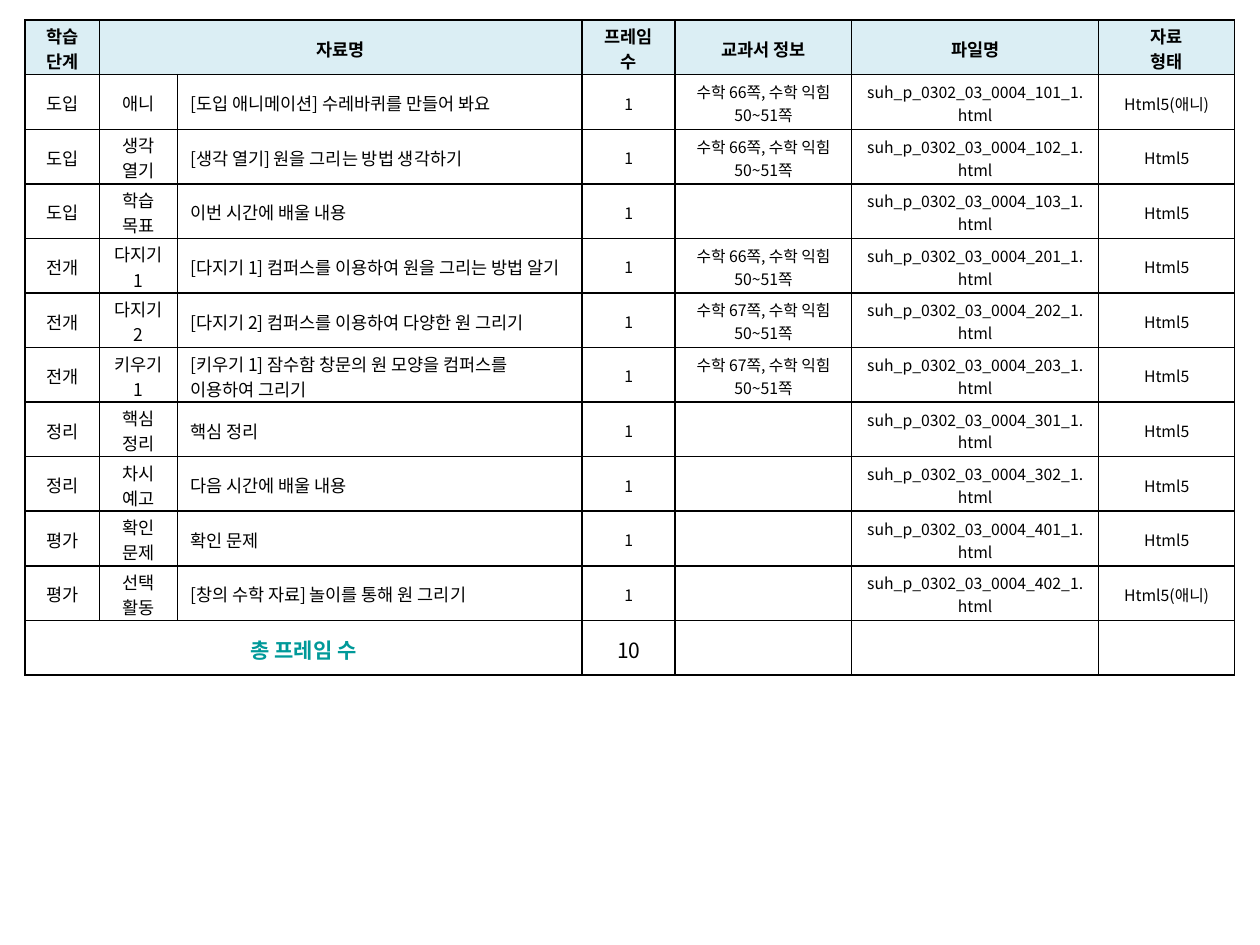
from lxml.etree import SubElement
from pptx import Presentation
from pptx.dml.color import RGBColor
from pptx.enum.text import MSO_ANCHOR, PP_ALIGN
from pptx.oxml.ns import qn
from pptx.util import Inches, Pt

FONT = "Noto Sans CJK KR"
COLORS = {"text": "000000", "border": "000000", "header": "DBEEF4",
          "body": "FFFFFF", "total": "009999"}
COLUMN_WIDTHS = [0.59, 0.62, 3.21, 0.74, 1.4, 1.96, 1.08]
HEADINGS = ["학습 단계", "자료명", "", "프레임 수", "교과서 정보", "파일명", "자료\n형태"]
TOTALS = ["총 프레임 수", "", "", "10", "", "", ""]
TITLE_COLUMN = 2
FIRST_SMALL_COLUMN = 3

# stage, activity, title, textbook page, file number, file type
LESSONS = [
    ("도입", "애니", "[도입 애니메이션] 수레바퀴를 만들어 봐요", 66, 101, "Html5(애니)"),
    ("도입", "생각 열기", "[생각 열기] 원을 그리는 방법 생각하기", 66, 102, "Html5"),
    ("도입", "학습 목표", "이번 시간에 배울 내용", None, 103, "Html5"),
    ("전개", "다지기 1", "[다지기 1] 컴퍼스를 이용하여 원을 그리는 방법 알기", 66, 201, "Html5"),
    ("전개", "다지기 2", "[다지기 2] 컴퍼스를 이용하여 다양한 원 그리기", 67, 202, "Html5"),
    ("전개", "키우기1", "[키우기 1] 잠수함 창문의 원 모양을 컴퍼스를 이용하여 그리기", 67, 203, "Html5"),
    ("정리", "핵심 정리", "핵심 정리", None, 301, "Html5"),
    ("정리", "차시 예고", "다음 시간에 배울 내용", None, 302, "Html5"),
    ("평가", "확인 문제", "확인 문제", None, 401, "Html5"),
    ("평가", "선택 활동", "[창의 수학 자료] 놀이를 통해 원 그리기", None, 402, "Html5(애니)"),
]


def lesson_cells(stage, activity, title, page, number, file_type):
    textbook = f"수학 {page}쪽, 수학 익힘 50~51쪽" if page else ""
    return [stage, activity, title, "1", textbook,
            f"suh_p_0302_03_0004_{number}_1.html", file_type]


def write_text(cell, text, size=10, bold=False, color="text", align=PP_ALIGN.CENTER):
    frame = cell.text_frame
    for index, line in enumerate(text.split("\n")):
        paragraph = frame.add_paragraph() if index else frame.paragraphs[0]
        paragraph.alignment = align
        if not line:
            # An empty cell keeps its row low only with a small end mark.
            SubElement(paragraph._p, qn("a:endParaRPr"), sz=str(size * 100))
            continue
        run = paragraph.add_run()
        run.text = line
        run.font.size = Pt(size)
        run.font.bold = bold
        run.font.name = FONT
        run.font.color.rgb = RGBColor.from_string(COLORS[color])
        SubElement(run._r.get_or_add_rPr(), qn("a:ea"), typeface=FONT)


def style_cell(cell, fill):
    cell.vertical_anchor = MSO_ANCHOR.MIDDLE
    # Narrow margins let two lines fit the even row height.
    cell.margin_top = Inches(0.02)
    cell.margin_bottom = 0
    properties = cell._tc.get_or_add_tcPr()
    for side in ("lnL", "lnR", "lnT", "lnB"):
        border = SubElement(properties, qn(f"a:{side}"), w=str(Pt(1)))
        solid = SubElement(border, qn("a:solidFill"))
        SubElement(solid, qn("a:srgbClr"), val=COLORS["border"])
    cell.fill.solid()
    cell.fill.fore_color.rgb = RGBColor.from_string(COLORS[fill])


def fill_row(table, row, texts, fill="body", formats=None):
    """Write one row; formats maps a column to its text format."""
    for column, text in enumerate(texts):
        cell = table.cell(row, column)
        style_cell(cell, fill)
        write_text(cell, text, **(formats or {}).get(column, {}))


def add_lesson_table(slide):
    total_row = len(LESSONS) + 1
    column_count = len(COLUMN_WIDTHS)
    table = slide.shapes.add_table(
        total_row + 1, column_count,
        Inches(0.2), Inches(0.16), Inches(9.6), Inches(5.2)).table
    for column, width in zip(table.columns, COLUMN_WIDTHS):
        column.width = Inches(width)

    heading_formats = {column: {"bold": True} for column in range(column_count)}
    fill_row(table, 0, HEADINGS, "header", heading_formats)

    lesson_formats = {column: {"size": 9}
                      for column in range(FIRST_SMALL_COLUMN, column_count)}
    lesson_formats[TITLE_COLUMN] = {"align": PP_ALIGN.LEFT}
    for row, lesson in enumerate(LESSONS, start=1):
        fill_row(table, row, lesson_cells(*lesson), formats=lesson_formats)

    total_formats = {0: {"size": 12, "bold": True, "color": "total"},
                     FIRST_SMALL_COLUMN: {"size": 12}}
    fill_row(table, total_row, TOTALS, formats=total_formats)

    table.cell(0, 1).merge(table.cell(0, TITLE_COLUMN))
    table.cell(total_row, 0).merge(table.cell(total_row, TITLE_COLUMN))


def main():
    presentation = Presentation()
    presentation.slide_width = Inches(10)
    presentation.slide_height = Inches(7.5)
    slide = presentation.slides.add_slide(presentation.slide_layouts[6])
    add_lesson_table(slide)
    presentation.save("out.pptx")


if __name__ == "__main__":
    main()
